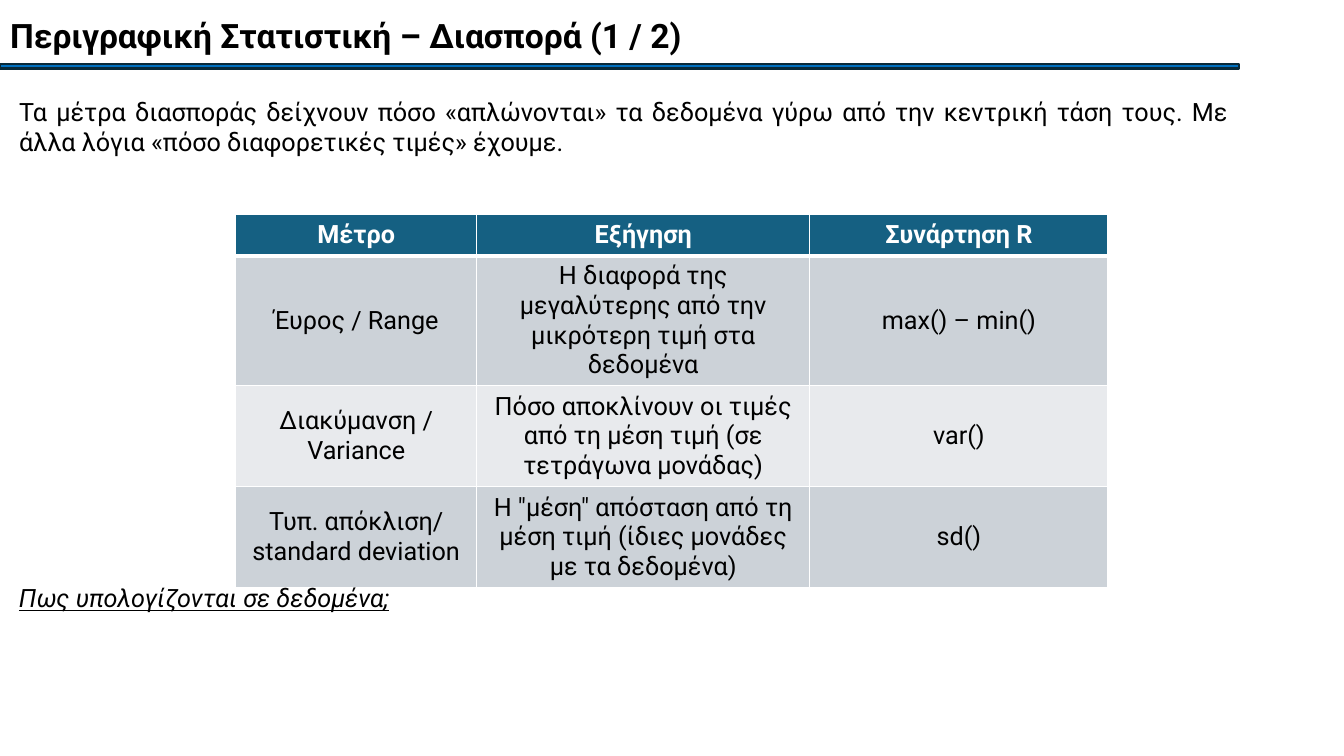
from lxml.etree import SubElement
from pptx import Presentation
from pptx.dml.color import RGBColor
from pptx.enum.shapes import MSO_SHAPE
from pptx.enum.text import MSO_ANCHOR, MSO_AUTO_SIZE, PP_ALIGN
from pptx.oxml.ns import qn
from pptx.util import Pt

COLORS = {
    "text": "000000",
    "white": "FFFFFF",
    "rule": "0070C0",
    "rule_edge": "092A39",
    "header": "156082",
    "odd_row": "CCD2D8",
    "even_row": "E8EAED",
}

MEASURES = [
    ("Μέτρο", "Εξήγηση", "Συνάρτηση R"),
    ("Έυρος / Range",
     "Η διαφορά της μεγαλύτερης από την μικρότερη τιμή στα δεδομένα",
     "max() – min()"),
    ("Διακύμανση / Variance",
     "Πόσο αποκλίνουν οι τιμές από τη μέση τιμή (σε τετράγωνα μονάδας)",
     "var()"),
    ("Τυπ. απόκλιση/ standard deviation",
     'Η "μέση" απόσταση από τη μέση τιμή (ίδιες μονάδες με τα δεδομένα)',
     "sd()"),
]


class SlideBuilder:
    font = "Roboto"
    size = 18

    def __init__(self, slide):
        self.slide = slide

    def color(self, name):
        return RGBColor.from_string(COLORS[name])

    def set_text(self, frame, text, align=PP_ALIGN.LEFT, size=None, color="text",
                 bold=False, italic=False, underline=False):
        frame.text = text
        paragraph = frame.paragraphs[0]
        paragraph.alignment = align
        paragraph.space_before = Pt(0)
        for run in paragraph.runs:
            font = run.font
            font.name = self.font
            font.size = Pt(size or self.size)
            font.bold = bold
            font.italic = italic
            font.underline = underline
            font.color.rgb = self.color(color)
        return paragraph

    def fill_placeholder(self, placeholder, box, text, **style):
        placeholder.left, placeholder.top, placeholder.width, placeholder.height = map(Pt, box)
        frame = placeholder.text_frame
        frame.word_wrap = True
        frame.auto_size = MSO_AUTO_SIZE.NONE
        frame.vertical_anchor = MSO_ANCHOR.TOP
        return self.set_text(frame, text, **style)

    def title(self, box, text):
        self.fill_placeholder(self.slide.shapes.title, box, text, size=24, bold=True)

    def body(self, box, text):
        paragraph = self.fill_placeholder(
            self.slide.placeholders[1], box, text, align=PP_ALIGN.JUSTIFY)
        properties = paragraph._p.get_or_add_pPr()
        properties.set("marL", "0")
        properties.set("indent", "0")
        SubElement(properties, qn("a:buNone"))

    def text(self, box, text, **style):
        frame = self.slide.shapes.add_textbox(*map(Pt, box)).text_frame
        frame.word_wrap = True
        self.set_text(frame, text, **style)

    def bar(self, box, fill, edge, edge_width):
        bar = self.slide.shapes.add_shape(MSO_SHAPE.RECTANGLE, *map(Pt, box))
        bar.shadow.inherit = False
        bar.fill.solid()
        bar.fill.fore_color.rgb = self.color(fill)
        bar.line.color.rgb = self.color(edge)
        bar.line.width = Pt(edge_width)

    def border(self, cell, side, width):
        line = SubElement(cell._tc.get_or_add_tcPr(), qn(f"a:ln{side}"), w=str(Pt(width)))
        fill = SubElement(line, qn("a:solidFill"))
        SubElement(fill, qn("a:srgbClr"), val=COLORS["white"])

    def table(self, left, top, widths, heights, rows):
        table = self.slide.shapes.add_table(
            len(rows), len(widths), Pt(left), Pt(top),
            Pt(sum(widths)), Pt(sum(heights))).table
        for column, width in zip(table.columns, widths):
            column.width = Pt(width)
        for row, height in zip(table.rows, heights):
            row.height = Pt(height)
        for r, row in enumerate(rows):
            header = r == 0
            fill = "header" if header else "odd_row" if r % 2 else "even_row"
            for c, text in enumerate(row):
                cell = table.cell(r, c)
                for side in "LRTB":
                    thick = (r, side) in ((0, "B"), (1, "T"))
                    self.border(cell, side, 3 if thick else 1)
                cell.fill.solid()
                cell.fill.fore_color.rgb = self.color(fill)
                cell.vertical_anchor = MSO_ANCHOR.TOP if header else MSO_ANCHOR.MIDDLE
                self.set_text(cell.text_frame, text, align=PP_ALIGN.CENTER, bold=header,
                              color="white" if header else "text")


def main():
    deck = Presentation()
    deck.slide_width, deck.slide_height = Pt(960), Pt(540)
    builder = SlideBuilder(deck.slides.add_slide(deck.slide_layouts[1]))
    builder.bar((0, 45.5, 885, 3.5), "rule", "rule_edge", 1.5)
    builder.title((0, 7.2, 538.5, 36), "Περιγραφική Στατιστική – Διασπορά (1 / 2)")
    builder.body((6.5, 65, 878.5, 72.7),
                 "Τα μέτρα διασποράς δείχνουν πόσο «απλώνονται» τα δεδομένα γύρω από την "
                 "κεντρική τάση τους. Με άλλα λόγια «πόσο διαφορετικές τιμές» έχουμε.")
    builder.table(168.5, 153.4, (172, 238, 213), (29.2, 93, 72, 72), MEASURES)
    builder.text((6.5, 412.5, 878.5, 29), "Πως υπολογίζονται σε δεδομένα;",
                 italic=True, underline=True)
    deck.save("out.pptx")


if __name__ == "__main__":
    main()
